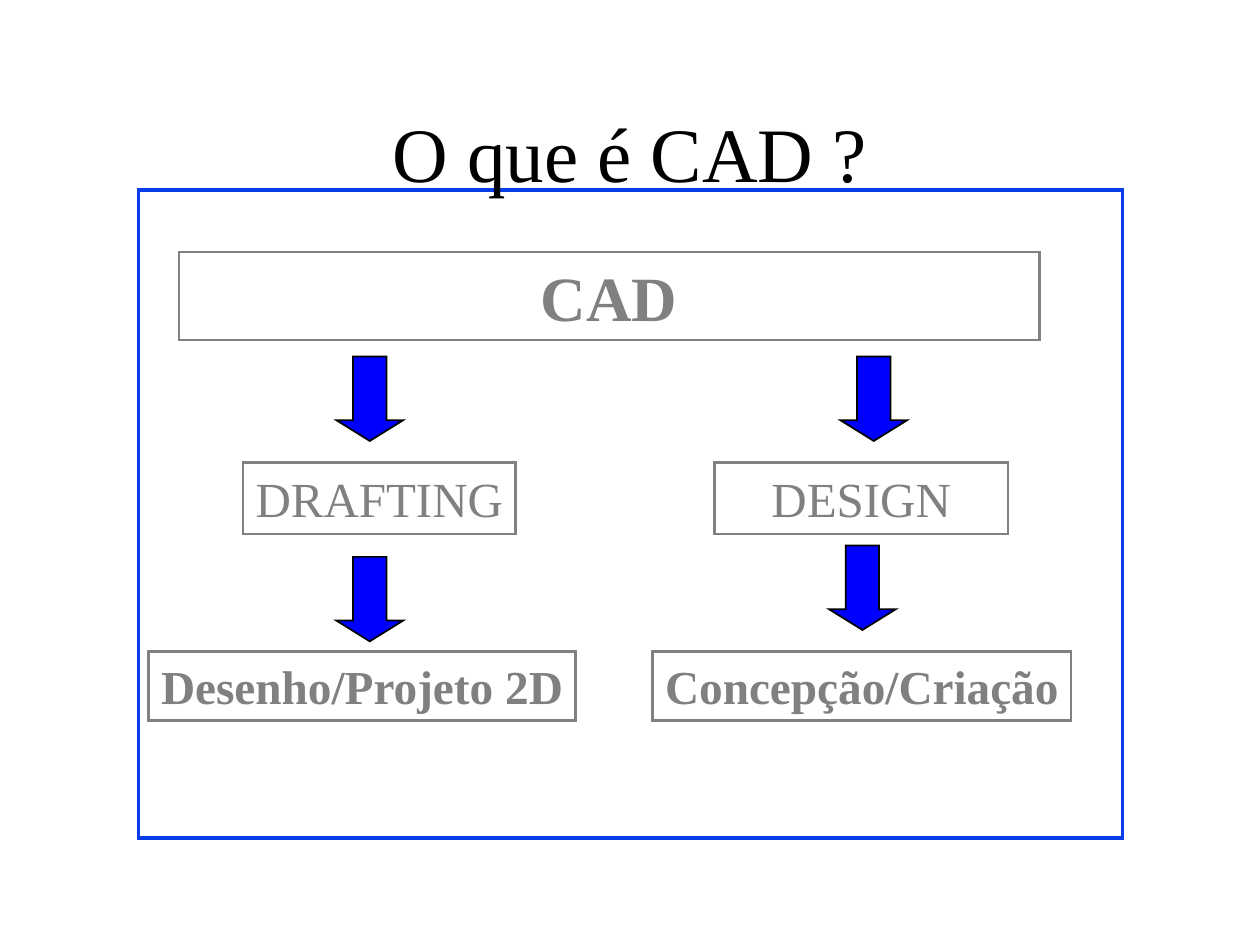
import pptx
import pptx.util
import pptx.dml.color
import pptx.enum.shapes
import pptx.enum.text
import pptx.oxml.ns
import lxml.etree

Inches = pptx.util.Inches
Pt = pptx.util.Pt
RGBColor = pptx.dml.color.RGBColor
SHAPE = pptx.enum.shapes.MSO_SHAPE
ALIGN = pptx.enum.text.PP_ALIGN
ANCHOR = pptx.enum.text.MSO_ANCHOR
FIT = pptx.enum.text.MSO_AUTO_SIZE

BLACK = RGBColor(0, 0, 0)
GRAY = RGBColor(0x80, 0x80, 0x80)
BLUE = RGBColor(0, 0, 0xFF)
EDGE = RGBColor(0x06, 0x3D, 0xE8)
FONT = "Times New Roman"


def add_shape(slide, kind, area, line, width, fill=None):
    shape = slide.shapes.add_shape(kind, *map(Inches, area))
    shape.shadow.inherit = False
    if fill is None:
        shape.fill.background()
    else:
        shape.fill.solid()
        shape.fill.fore_color.rgb = fill
    shape.line.color.rgb = line
    shape.line.width = Pt(width)
    qn = pptx.oxml.ns.qn
    edge = shape.element.spPr.find(qn("a:ln"))
    lxml.etree.SubElement(edge, qn("a:miter"), lim="800000")
    return shape


def set_text(shape, text, size, color, bold=False, align=ALIGN.CENTER, wrap=True):
    frame = shape.text_frame
    frame.text = text
    frame.word_wrap = wrap
    para = frame.paragraphs[0]
    para.alignment = align
    font = para.runs[0].font
    font.name = FONT
    font.size = Pt(size)
    font.bold = bold
    font.color.rgb = color
    return frame


def add_box(slide, area, text, size, **style):
    box = add_shape(slide, SHAPE.RECTANGLE, area, GRAY, 1.5)
    frame = set_text(box, text, size, GRAY, **style)
    frame.vertical_anchor = ANCHOR.TOP
    frame.auto_size = FIT.SHAPE_TO_FIT_TEXT
    return frame


def add_label(slide, left, width, text):
    frame = add_box(slide, (left, 5.17, width, 0.55), text, 27,
                    bold=True, align=ALIGN.LEFT)
    frame.margin_right = Inches(0.02)


def add_arrow(slide, left, top):
    area = (left, top, 0.53, 0.67)
    arrow = add_shape(slide, SHAPE.DOWN_ARROW, area, BLACK, 1, BLUE)
    arrow.adjustments[0] = 0.5
    arrow.adjustments[1] = 0.31


def add_title(slide, text):
    area = (0.75, 0.58, 8.5, 1.25)
    box = slide.shapes.add_textbox(*map(Inches, area))
    frame = set_text(box, text, 44, BLACK)
    frame.vertical_anchor = ANCHOR.MIDDLE


def main():
    deck = pptx.Presentation()
    deck.slide_width = Inches(10)
    deck.slide_height = Inches(7.5)
    slide = deck.slides.add_slide(deck.slide_layouts[6])

    add_shape(slide, SHAPE.RECTANGLE, (1.1, 1.51, 7.81, 5.14), EDGE, 2)
    add_box(slide, (1.42, 2, 6.83, 0.7), "CAD", 36, bold=True)
    add_box(slide, (5.67, 3.67, 2.33, 0.57), "DESIGN", 28)
    add_box(slide, (1.93, 3.67, 2.16, 0.57), "DRAFTING", 28, wrap=False)
    add_label(slide, 5.18, 3.32, "Concepção/Criação")
    add_label(slide, 1.18, 3.39, "Desenho/Projeto 2D")
    for left, top in ((6.67, 2.83), (6.58, 4.33), (2.67, 2.83), (2.67, 4.42)):
        add_arrow(slide, left, top)
    add_title(slide, "O que é CAD ?")

    deck.save("out.pptx")


if __name__ == "__main__":
    main()
